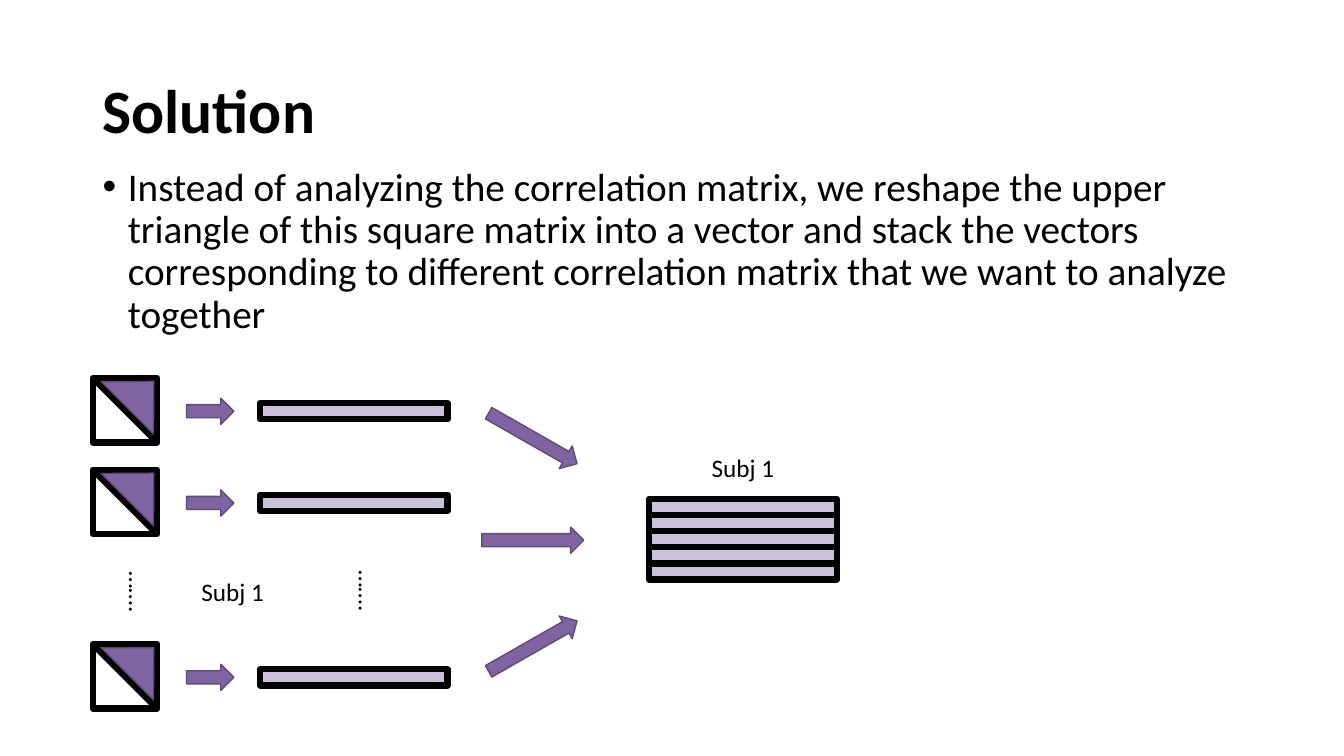
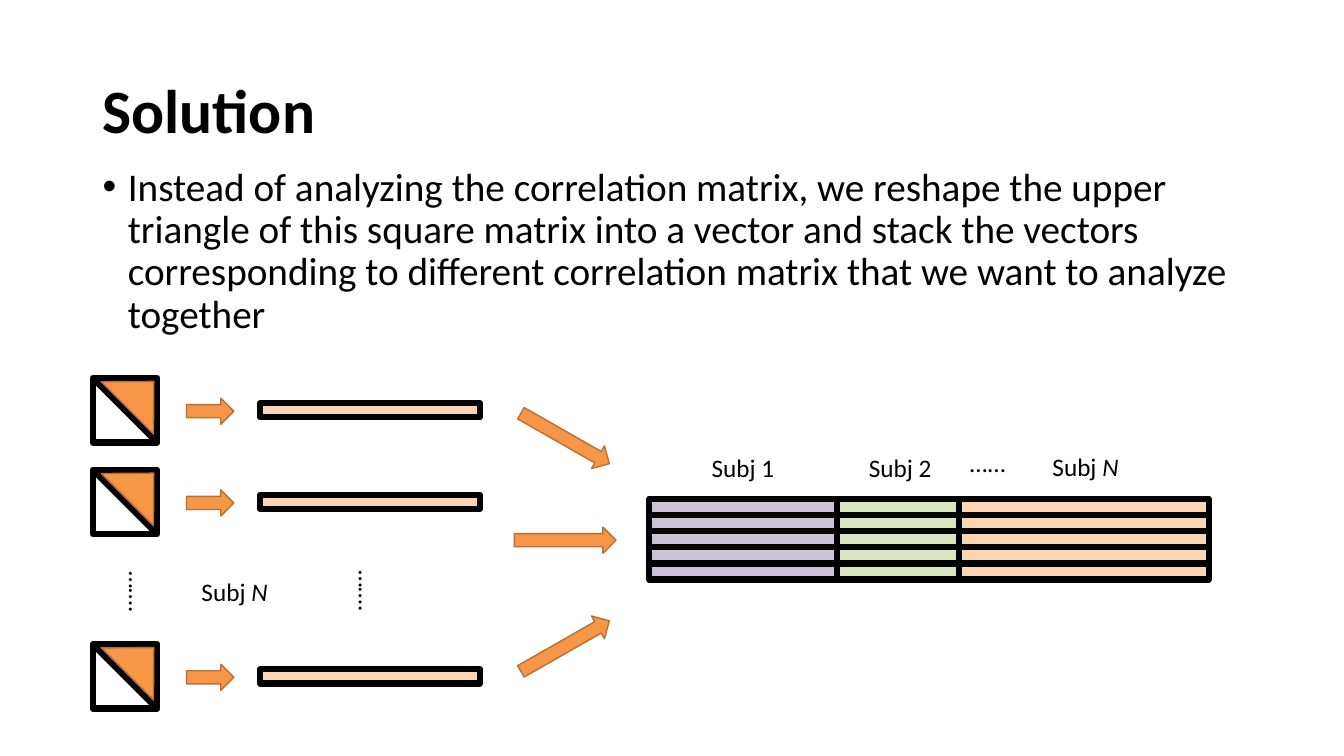
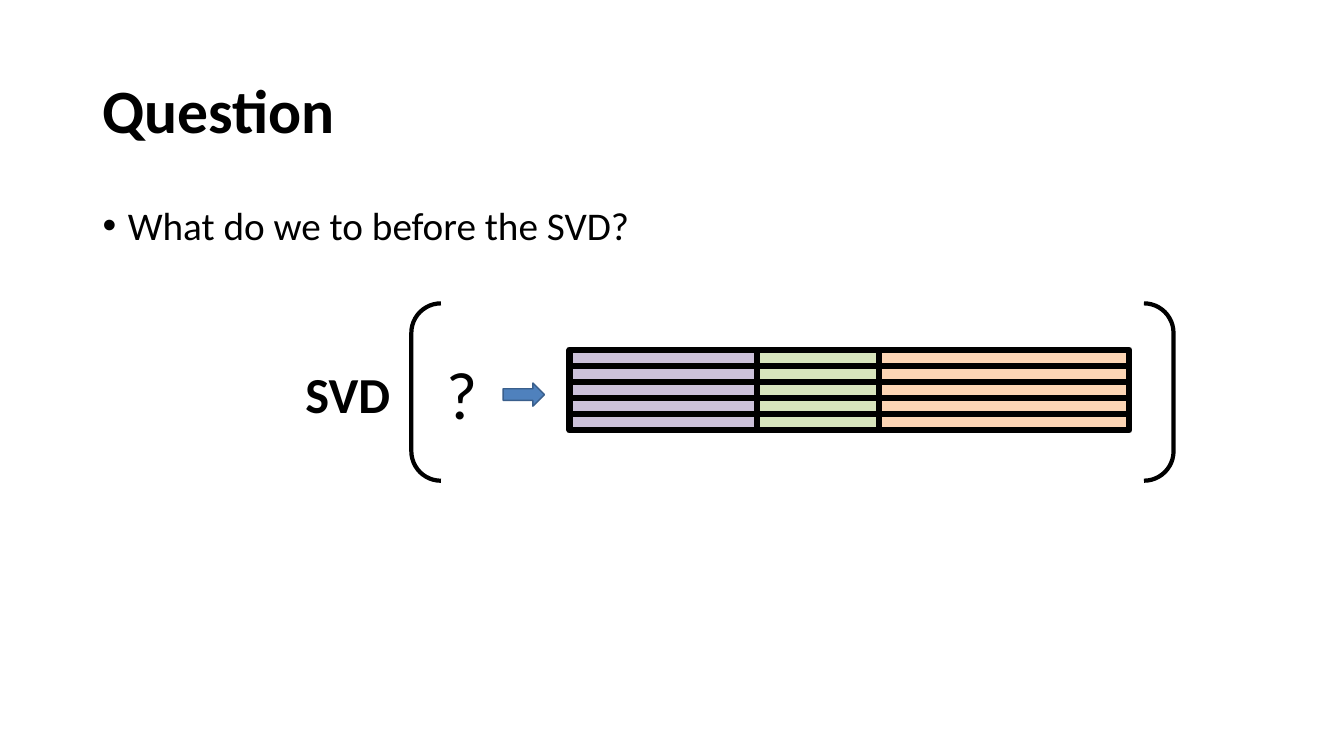
from dataclasses import dataclass
from typing import NamedTuple

from lxml.etree import SubElement
from pptx import Presentation
from pptx.dml.color import RGBColor
from pptx.enum.shapes import MSO_CONNECTOR, MSO_SHAPE
from pptx.enum.text import MSO_ANCHOR, MSO_AUTO_SIZE
from pptx.oxml.ns import qn
from pptx.util import Emu, Pt

PX = 9144


class Palette(NamedTuple):
    """Colours of one subject: strong fill, its outline and the pale vector fill."""
    strong: str
    outline: str
    pale: str


@dataclass(frozen=True)
class Theme:
    """Colours, font and type sizes shared by the slides."""
    ink: str = "000000"
    purple: Palette = Palette("8064A2", "5F4A78", "CCC1DA")
    orange: Palette = Palette("F79646", "B76F34", "FCD5B5")
    blue: Palette = Palette("4F81BD", "3A5F8C", "B9CDE5")
    green_pale: str = "D7E4BD"
    font: str = "Calibri"
    title: int = 44
    bullet: int = 28
    label: int = 18
    operator: int = 36
    query: int = 48
    heavy: float = 4.5
    bracket: float = 3
    thin: float = 1


THEME = Theme()


class Run(NamedTuple):
    """A piece of text with its emphasis."""
    text: str
    bold: bool = False
    italic: bool = False


class Label(NamedTuple):
    """A short caption and the width it needs."""
    runs: list
    width: int


class Box(NamedTuple):
    """A rectangle in px."""
    left: int
    top: int
    width: int
    height: int

    def inner(self, dx, dy, width, height):
        """Return a box offset from this one's top left corner."""
        return Box(self.left + dx, self.top + dy, width, height)

    def emu(self):
        """Return the four lengths in EMU."""
        return [Emu(length * PX) for length in self]


SUBJECT_1 = Label([Run("Subj 1")], 83)
SUBJECT_2 = Label([Run("Subj 2")], 83)
SUBJECT_N = Label([Run("Subj "), Run("N", italic=True)], 88)
MORE_SUBJECTS = Label([Run("…...")], 57)
SEGMENTS = [(186, THEME.purple.pale), (121, THEME.green_pale), (248, THEME.orange.pale)]
SOLUTION = ("Instead of analyzing the correlation matrix, we reshape the upper triangle of "
            "this square matrix into a vector and stack the vectors corresponding to "
            "different correlation matrix that we want to analyze together")


def colour(code):
    """Turn a hex code into a colour."""
    return RGBColor.from_string(code)


def write(slide, box, runs, size, wrap=False, vertical=False):
    """Add a text box with one paragraph and return its shape."""
    holder = slide.shapes.add_textbox(*box.emu())
    frame = holder.text_frame
    frame.word_wrap = wrap
    frame.auto_size = MSO_AUTO_SIZE.NONE if wrap else MSO_AUTO_SIZE.SHAPE_TO_FIT_TEXT
    if vertical:
        frame._txBody.bodyPr.set("vert", "eaVert")
    for piece in runs:
        run = frame.paragraphs[0].add_run()
        run.text = piece.text
        run.font.name = THEME.font
        run.font.size = Pt(size)
        run.font.bold = piece.bold
        run.font.italic = piece.italic
        run.font.color.rgb = colour(THEME.ink)
    return holder


def caption(slide, box, dx, dy, label):
    """Add a label offset from the corner of a box."""
    write(slide, box.inner(dx, dy, label.width, 40), label.runs, THEME.label)


def draw(slide, kind, box, fill, outline, weight, rotation=0):
    """Add a preset shape, unfilled when fill is None."""
    figure = slide.shapes.add_shape(kind, *box.emu())
    figure.shadow.inherit = False
    figure.rotation = rotation
    if fill:
        figure.fill.solid()
        figure.fill.fore_color.rgb = colour(fill)
    else:
        figure.fill.background()
    figure.line.color.rgb = colour(outline)
    figure.line.width = Pt(weight)


def arrow(slide, box, palette, rotation=0):
    """Add a block arrow pointing right before rotation."""
    draw(slide, MSO_SHAPE.RIGHT_ARROW, box, palette.strong, palette.outline,
         THEME.thin, rotation)


def vector(slide, box, fill):
    """Add one heavily outlined vector."""
    draw(slide, MSO_SHAPE.RECTANGLE, box, fill, THEME.ink, THEME.heavy)


def heading(slide, title, bullet, bullet_top):
    """Place the slide title and its single bullet."""
    head = write(slide, Box(92, 40, 1150, 145), [Run(title, bold=True)], THEME.title, wrap=True)
    head.text_frame.vertical_anchor = MSO_ANCHOR.MIDDLE
    head.text_frame.paragraphs[0].line_spacing = 0.9
    body = write(slide, Box(92, bullet_top, 1150, 476), [Run(bullet)], THEME.bullet, wrap=True)
    statement = body.text_frame.paragraphs[0]
    statement.line_spacing = 0.9
    properties = statement._p.get_or_add_pPr()
    properties.set("marL", str(25 * PX))
    properties.set("indent", str(-25 * PX))
    SubElement(properties, qn("a:buFont")).set("typeface", "Arial")
    SubElement(properties, qn("a:buChar")).set("char", "•")


def matrix_row(slide, box, palette, vector_height):
    """Place a matrix, its upper triangle and the vector it becomes."""
    matrix = box.inner(0, 0, box.height, box.height)
    draw(slide, MSO_SHAPE.RECTANGLE, matrix, None, THEME.ink, THEME.heavy)
    left, top, width, height = matrix.emu()
    diagonal = slide.shapes.add_connector(MSO_CONNECTOR.STRAIGHT, left, top,
                                          left + width, top + height)
    diagonal.line.color.rgb = colour(THEME.ink)
    diagonal.line.width = Pt(THEME.heavy)
    SubElement(diagonal._element.spPr, qn("a:effectLst"))
    arrow(slide, box.inner(93, 20, 47, 26), palette)
    draw(slide, MSO_SHAPE.ISOSCELES_TRIANGLE, box.inner(11, -2, 73, 37),
         palette.strong, palette.outline, THEME.thin, 45)
    vector(slide, box.inner(166, 25, box.width - 166, vector_height), palette.pale)


def reshaping(slide, box, palette, vector_height, subject):
    """Place one subject's matrices and the arrows leading to the stack."""
    for dy in (0, 91, 264):
        matrix_row(slide, box.inner(0, dy, box.width, 64), palette, vector_height)
    for dy, rotation in ((47, 29.7), (148, 0), (253, 330.3)):
        arrow(slide, box.inner(box.width + 34, dy, 101, 26), palette, rotation)
    for dx, dy in ((244, 181), (16, 182)):
        write(slide, box.inner(dx, dy, 50, 51), [Run("…….")], THEME.label, vertical=True)
    caption(slide, box, 98, 192, subject)


def stack(slide, box, segments):
    """Stack five rows of vectors, one segment per subject."""
    pitch = box.height // 5
    dx = 0
    for width, fill in segments:
        for row in range(5):
            vector(slide, box.inner(dx, row * pitch, width, pitch), fill)
        dx += width


def solution_slide(slide, palette, vector_size, subject, segments, labels):
    """Build a slide that reshapes one subject and shows the stack so far."""
    heading(slide, "Solution", SOLUTION, 161)
    width, height = vector_size
    reshaping(slide, Box(92, 375, 166 + width, 328), palette, height, subject)
    stacked = Box(644, 495, sum(length for length, _ in segments), 80)
    stack(slide, stacked, segments)
    for dx, dy, label in labels:
        caption(slide, stacked, dx, dy, label)


def svd_formula(slide, box):
    """Place the SVD operator and its bracketed argument."""
    write(slide, box.inner(-115, 54, 105, 71), [Run("SVD", bold=True)], THEME.operator)
    stack(slide, box.inner(157, 46, 555, 80), SEGMENTS)
    draw(slide, MSO_SHAPE.DOUBLE_BRACKET, box, None, THEME.ink, THEME.bracket)
    write(slide, box.inner(25, 44, 51, 91), [Run("?")], THEME.query)
    arrow(slide, box.inner(91, 79, 41, 23), THEME.blue)


def question_slide(slide):
    """Build the slide that asks what precedes the SVD."""
    heading(slide, "Question", "What do we to before the SVD?", 200)
    svd_formula(slide, Box(408, 301, 756, 176))


def main():
    """Build and save the deck."""
    deck = Presentation()
    deck.slide_width, deck.slide_height = Emu(1333 * PX), Emu(750 * PX)
    first, last, question = [deck.slides.add_slide(deck.slide_layouts[6]) for _ in range(3)]
    first_label = (52, -51, SUBJECT_1)
    solution_slide(first, THEME.purple, (186, 16), SUBJECT_1, SEGMENTS[:1], [first_label])
    solution_slide(last, THEME.orange, (218, 14), SUBJECT_N, SEGMENTS,
                   [first_label, (208, -51, SUBJECT_2), (390, -52, SUBJECT_N),
                    (308, -56, MORE_SUBJECTS)])
    question_slide(question)
    deck.save("out.pptx")


if __name__ == "__main__":
    main()
